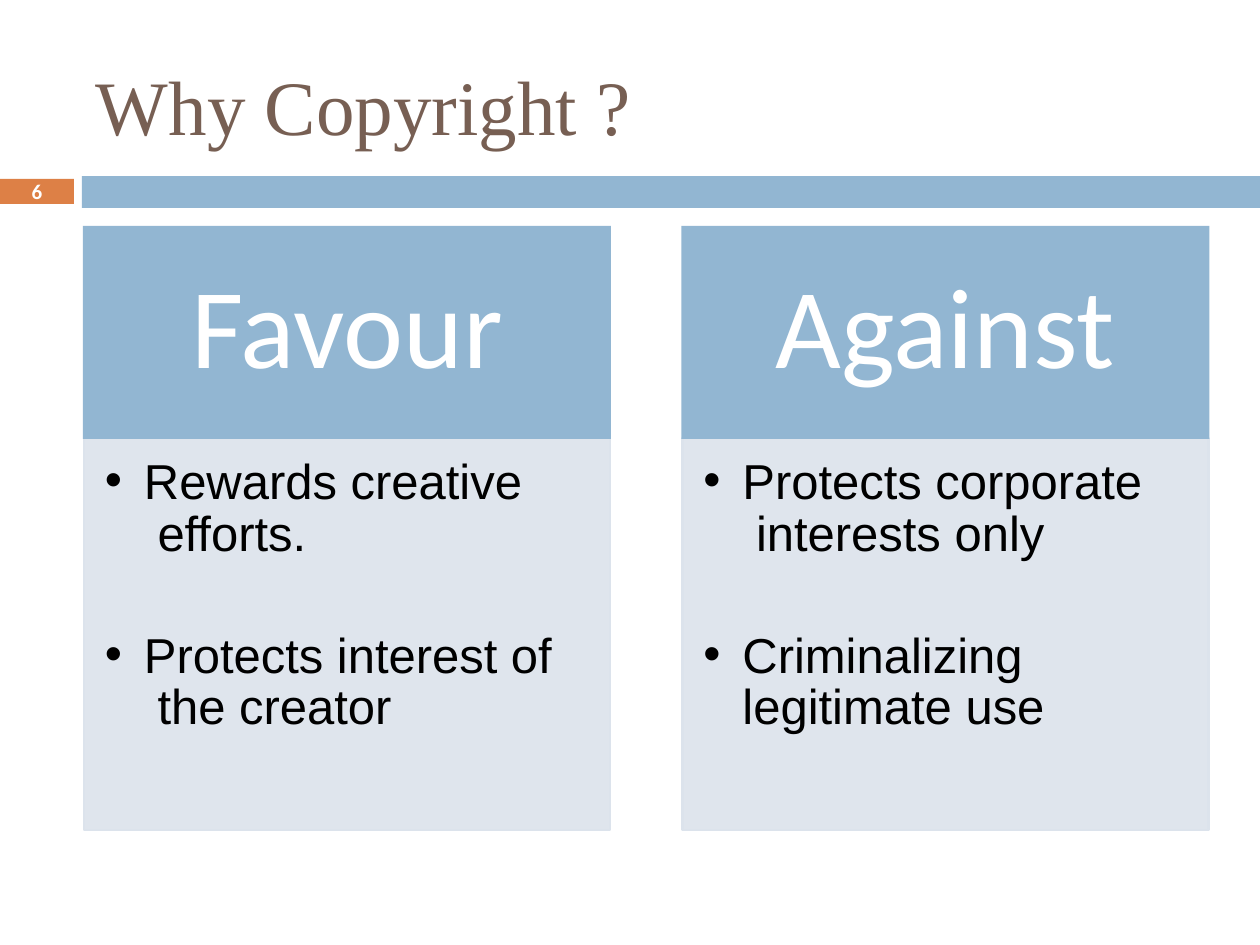
from pptx import Presentation
from pptx.dml.color import RGBColor
from pptx.enum.shapes import MSO_SHAPE
from pptx.enum.text import MSO_ANCHOR, MSO_AUTO_SIZE, PP_ALIGN
from pptx.oxml.ns import qn
from pptx.util import Emu, Pt
from lxml.etree import SubElement

SCALE = 914400 // 126  # EMU per pixel
BLUE = RGBColor(0x92, 0xB6, 0xD2)
PALE = RGBColor(0xDC, 0xE3, 0xEC)
ORANGE = RGBColor(0xDD, 0x80, 0x46)
BROWN = RGBColor(0x77, 0x5F, 0x53)
WHITE = RGBColor(0xFF, 0xFF, 0xFF)
BLACK = RGBColor(0, 0, 0)

HEADING_HEIGHT = 213
COLUMNS = [
    ("Favour", ["Rewards creative\v efforts.",
                "Protects interest of\v the creator"]),
    ("Against", ["Protects corporate\v interests only",
                 "Criminalizing\vlegitimate use"]),
]


def px(pixels):
    return Emu(round(pixels * SCALE))


def place(part, box):
    part.left, part.top, part.width, part.height = map(px, box)


def set_frame(frame, anchor, left=0, top=0, bottom=0):
    frame.word_wrap = True
    frame.auto_size = MSO_AUTO_SIZE.NONE
    frame.vertical_anchor = anchor
    frame.margin_left, frame.margin_top = px(left), px(top)
    frame.margin_right, frame.margin_bottom = 0, px(bottom)


def set_font(paragraph, name, size, color, bold=False):
    font = paragraph.font
    font.name, font.size, font.bold = name, Pt(size), bold
    font.color.rgb = color


def add_block(slide, box, fill):
    block = slide.shapes.add_shape(MSO_SHAPE.RECTANGLE, *map(px, box))
    block.shadow.inherit = False
    block.fill.solid()
    block.fill.fore_color.rgb = fill
    block.line.fill.background()
    return block


def add_label(block, text, size, bold=False, bottom=0):
    frame = block.text_frame
    set_frame(frame, MSO_ANCHOR.MIDDLE, bottom=bottom)
    label = frame.paragraphs[0]
    label.text = text
    label.alignment = PP_ALIGN.CENTER
    set_font(label, "Calibri", size, WHITE, bold)


def add_bullet(paragraph, indent):
    properties = paragraph._p.get_or_add_pPr()
    properties.set("marL", str(px(indent)))
    properties.set("indent", str(-px(indent)))
    SubElement(properties, qn("a:buFont"), typeface="Arial")
    SubElement(properties, qn("a:buChar"), char="•")


def build_title(title, box):
    place(title, box)
    title.text = "Why Copyright ?"
    set_frame(title.text_frame, MSO_ANCHOR.TOP)
    heading = title.text_frame.paragraphs[0]
    heading.alignment = PP_ALIGN.LEFT
    set_font(heading, "Times New Roman", 44, BROWN)


def build_band(slide, box):
    left, top, width, height = box
    gap = 8
    add_block(slide, box, BLUE)
    # Slide number
    number = add_block(slide, (0, top + 3, left - gap, height - 7), ORANGE)
    add_label(number, "6", 12, bold=True)


def build_column(slide, panel, box, heading, points):
    left, top, width, height = box
    # Panel with its list
    place(panel, (left + 1, top + HEADING_HEIGHT - 1,
                  width - 2, height - HEADING_HEIGHT))
    panel.fill.solid()
    panel.fill.fore_color.rgb = PALE
    tint = panel.fill._xPr.find(qn("a:solidFill"))[0]
    SubElement(tint, qn("a:alpha"), val="90000")
    panel.line.color.rgb = PALE
    panel.line.width = Pt(1.5)
    frame = panel.text_frame
    set_frame(frame, MSO_ANCHOR.TOP, left=21, top=20)
    frame.text = "\n".join(points)
    for index, point in enumerate(frame.paragraphs):
        point.alignment = PP_ALIGN.LEFT
        point.line_spacing = Pt(29.4)
        point.space_before = Pt(40.5 if index else 0)
        set_font(point, "Arial", 28, BLACK)
        add_bullet(point, 39)
    # Heading
    header = add_block(slide, (left, top, width, HEADING_HEIGHT), BLUE)
    add_label(header, heading, 65, bottom=18)


def build_slide(deck):
    slide = deck.slides.add_slide(deck.slide_layouts[3])
    title, *panels = slide.placeholders
    build_title(title, (96, 59, 1068, 96))
    build_band(slide, (82, 176, 1178, 32))
    for index, (panel, column) in enumerate(zip(panels, COLUMNS)):
        build_column(slide, panel, (83 + 598.5 * index, 226, 528, 605), *column)


deck = Presentation()
deck.slide_width, deck.slide_height = px(1260), px(945)
build_slide(deck)
deck.save("out.pptx")
